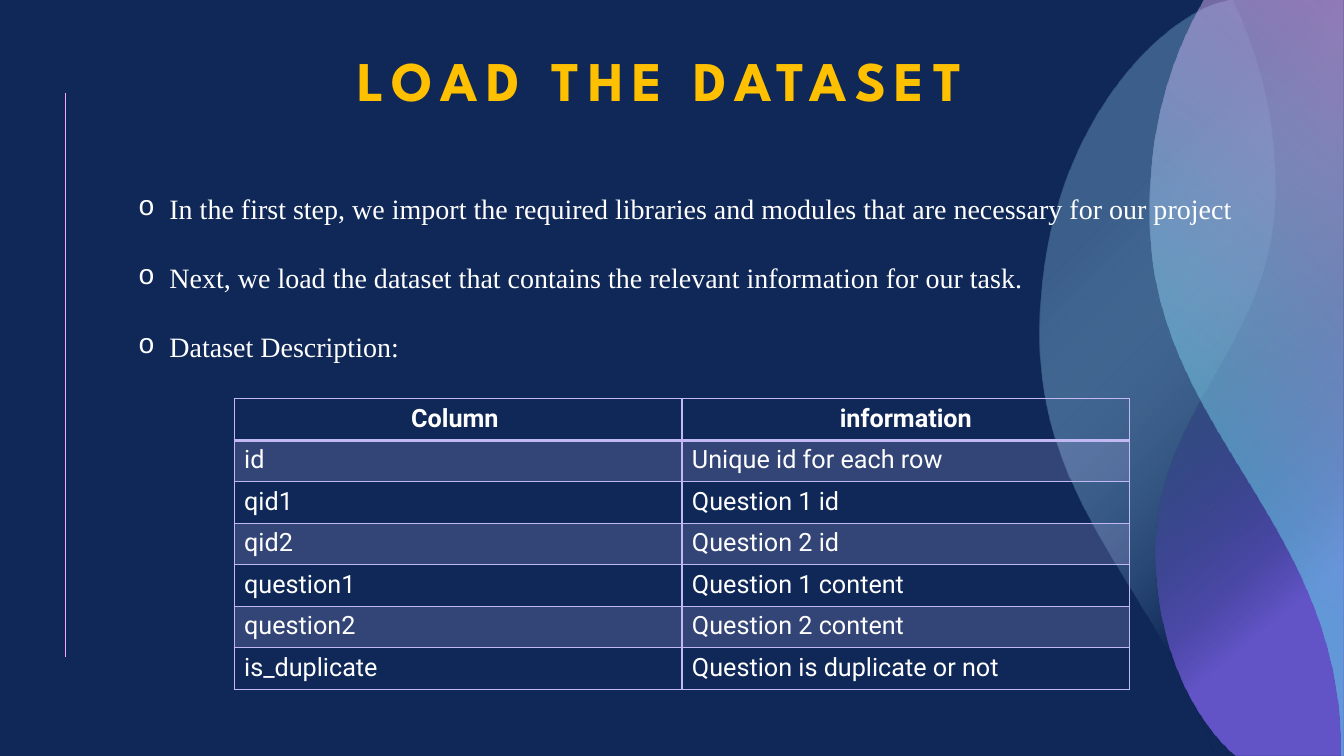
"""Builds the slide that explains how the dataset is loaded."""
from lxml import etree
from pptx import Presentation
from pptx.dml.color import RGBColor
from pptx.enum.shapes import MSO_CONNECTOR
from pptx.enum.text import MSO_ANCHOR, PP_ALIGN
from pptx.oxml import parse_xml
from pptx.oxml.ns import nsdecls, qn
from pptx.util import Cm, Pt

STRAIGHT = MSO_CONNECTOR.STRAIGHT
LEFT, CENTER = PP_ALIGN.LEFT, PP_ALIGN.CENTER
TOP, BOTTOM = MSO_ANCHOR.TOP, MSO_ANCHOR.BOTTOM

NAVY, WHITE, GOLD, PINK, LILAC = "102857", "FFFFFF", "FFC000", "F6A6F4", "C3B9F2"
BULLET_FONT = {"typeface": "Courier New", "panose": "02070309020205020404",
               "pitchFamily": "49", "charset": "0"}

TITLE = "LOAD THE DATASET"
STEPS = [
    "In the first step, we import the required libraries and modules that are necessary for our project",
    "Next, we load the dataset that contains the relevant information for our task.",
    "Dataset Description:",
]
ROWS = [
    ("Column ", "information"),
    ("id", "Unique id for each row"),
    ("qid1", "Question 1 id"),
    ("qid2", "Question 2 id"),
    ("question1", "Question 1 content"),
    ("question2", "Question 2 content"),
    ("is_duplicate", "Question is duplicate or not"),
]
RADIAL = '<a:path path="circle"><a:fillToRect l="100000" t="100000"/></a:path>'
LINEAR = '<a:lin ang="{}" scaled="0"/>'
WAVES = [
    dict(
        rotation=90, shading=RADIAL, stops=[(26, NAVY, 100), (73, "92CDF0", 33)],
        corners=[(30.99, 0), (33.88, 0), (33.88, 19.05), (30.58, 19.05), (30.53, 18.87)],
        curves=[
            [(29.31, 15.11), (26.19, 12.78), (26.19, 8.48)],
            [(26.16, 3.84), (28.75, 0.79), (30.61, 0.1)],
        ],
    ),
    dict(
        rotation=270, shading=LINEAR.format(140 * 60000),
        stops=[(37, NAVY, 28), (79, "765FE1", 80)],
        corners=[(31.06, 0), (33.86, 0), (33.86, 19.05), (31.14, 19.05), (31.09, 19.02)],
        curves=[
            [(30.1, 18.14), (29.11, 16.33), (29.11, 13.87)],
            [(29.13, 10.26), (32.08, 8.71), (32.13, 4.88)],
            [(32.16, 2.97), (31.7, 1.47), (31.19, 0.3)],
        ],
    ),
    dict(
        rotation=90, shading=LINEAR.format(220 * 60000),
        stops=[(32, "64DFED", 48), (100, PINK, 49)],
        corners=[(30.33, 0), (33.86, 0), (33.86, 19.05), (33.78, 19.05), (33.78, 18.72)],
        curves=[
            [(33.68, 13.06), (28.98, 10.77), (28.96, 5.46)],
            [(28.93, 3.45), (29.41, 1.75), (30.1, 0.43)],
        ],
    ),
]


def color(value):
    return RGBColor.from_string(value)


def write(para, text, font, size, fill=WHITE, bold=False, align=LEFT, spacing=0):
    para.alignment = align
    span = para.add_run()
    span.text = text
    span.font.name, span.font.size, span.font.bold = font, Pt(size), bold
    span.font.color.rgb = color(fill)
    if spacing:
        span.font._element.set("spc", str(spacing * 100))


def add_box(page, left, top, width, height, anchor):
    box = page.shapes.add_textbox(Cm(left), Cm(top), Cm(width), Cm(height))
    box.text_frame.word_wrap = True
    box.text_frame.vertical_anchor = anchor
    return box.text_frame


def bend(wave, first, count):
    segments = list(wave._element.iter(qn("a:lnTo")))
    for start in range(first, first + 3 * count, 3):
        curve = etree.Element(qn("a:cubicBezTo"))
        segments[start].addprevious(curve)
        for segment in segments[start:start + 3]:
            curve.append(segment[0])
            segment.getparent().remove(segment)


def add_wave(page, rotation, shading, stops, corners, curves):
    outline = corners + sum(curves, [])
    mid_x, mid_y = [(min(values) + max(values)) / 2 for values in zip(*outline)]
    turn = 1 if rotation == 90 else -1
    points = [(Cm(mid_x + turn * (y - mid_y)), Cm(mid_y - turn * (x - mid_x))) for x, y in outline]
    builder = page.shapes.build_freeform(*points[0])
    builder.add_line_segments(points[1:], close=True)
    wave = builder.convert_to_shape()
    bend(wave, len(corners) - 1, len(curves))
    wave.rotation = rotation
    wave.shadow.inherit = False
    wave.line.fill.background()
    wave.fill.background()
    marks = "".join(
        f'<a:gs pos="{place * 1000}"><a:srgbClr val="{tint}">'
        f'<a:alpha val="{alpha * 1000}"/></a:srgbClr></a:gs>'
        for place, tint, alpha in stops
    )
    gradient = parse_xml(
        f'<a:gradFill {nsdecls("a")} rotWithShape="1"><a:gsLst>{marks}</a:gsLst>{shading}</a:gradFill>'
    )
    properties = wave._element.spPr
    properties.replace(properties.find(qn("a:noFill")), gradient)


def add_side_line(page):
    line = page.shapes.add_connector(STRAIGHT, Cm(1.65), Cm(2.35), Cm(1.65), Cm(16.56))
    line.line.color.rgb = color(PINK)
    line.line.width = Pt(0.5)
    etree.SubElement(line._element.spPr, qn("a:effectLst"))


def add_steps(page):
    frame = add_box(page, 3.23, 4.7, 28.88, 7.09, TOP)
    for index, text in enumerate(STEPS):
        para = frame.paragraphs[0] if index == 0 else frame.add_paragraph()
        para.space_before = Pt(25.2 if index else 0)
        write(para, text, "Times New Roman", 20)
        properties = para._element.get_or_add_pPr()
        properties.set("marL", str(Cm(0.79)))
        properties.set("indent", str(-Cm(0.79)))
        etree.SubElement(properties, qn("a:buFont"), BULLET_FONT)
        etree.SubElement(properties, qn("a:buChar")).set("char", "o")


def style_cell(cell, row):
    cell.fill.background()
    properties = cell._tc.get_or_add_tcPr()
    if row % 2:
        cell.fill.solid()
        cell.fill.fore_color.rgb = color(LILAC)
        tint = properties.find(".//" + qn("a:srgbClr"))
        etree.SubElement(tint, qn("a:alpha")).set("val", "20000")
    widths = {"L": 1, "R": 1, "T": 2 if row == 1 else 1, "B": 2 if row == 0 else 1}
    for place, (side, width) in enumerate(widths.items()):
        border = parse_xml(
            f'<a:ln{side} {nsdecls("a")} w="{Pt(width)}"><a:solidFill>'
            f'<a:srgbClr val="{LILAC}"/></a:solidFill></a:ln{side}>'
        )
        properties.insert(place, border)


def add_columns_table(page):
    frame = page.shapes.add_table(len(ROWS), 2, Cm(5.9), Cm(10.05), Cm(22.57), Cm(7.32))
    table = frame.table
    table.horz_banding = False
    for row, texts in enumerate(ROWS):
        for column, text in enumerate(texts):
            cell = table.cell(row, column)
            style_cell(cell, row)
            header = row == 0
            write(cell.text_frame.paragraphs[0], text, "Roboto", 18,
                  bold=header, align=CENTER if header else LEFT)


def main():
    deck = Presentation()
    deck.slide_width, deck.slide_height = Cm(33.87), Cm(19.05)
    page = deck.slides.add_slide(deck.slide_layouts[6])
    page.background.fill.solid()
    page.background.fill.fore_color.rgb = color(NAVY)
    add_side_line(page)
    for wave in WAVES:
        add_wave(page, **wave)
    title = add_box(page, 4.3, 0.59, 24.66, 2.39, BOTTOM).paragraphs[0]
    title.line_spacing = 0.9
    write(title, TITLE, "League Spartan", 40, fill=GOLD, bold=True, align=CENTER, spacing=6)
    add_steps(page)
    add_columns_table(page)
    deck.save("out.pptx")


if __name__ == "__main__":
    main()
